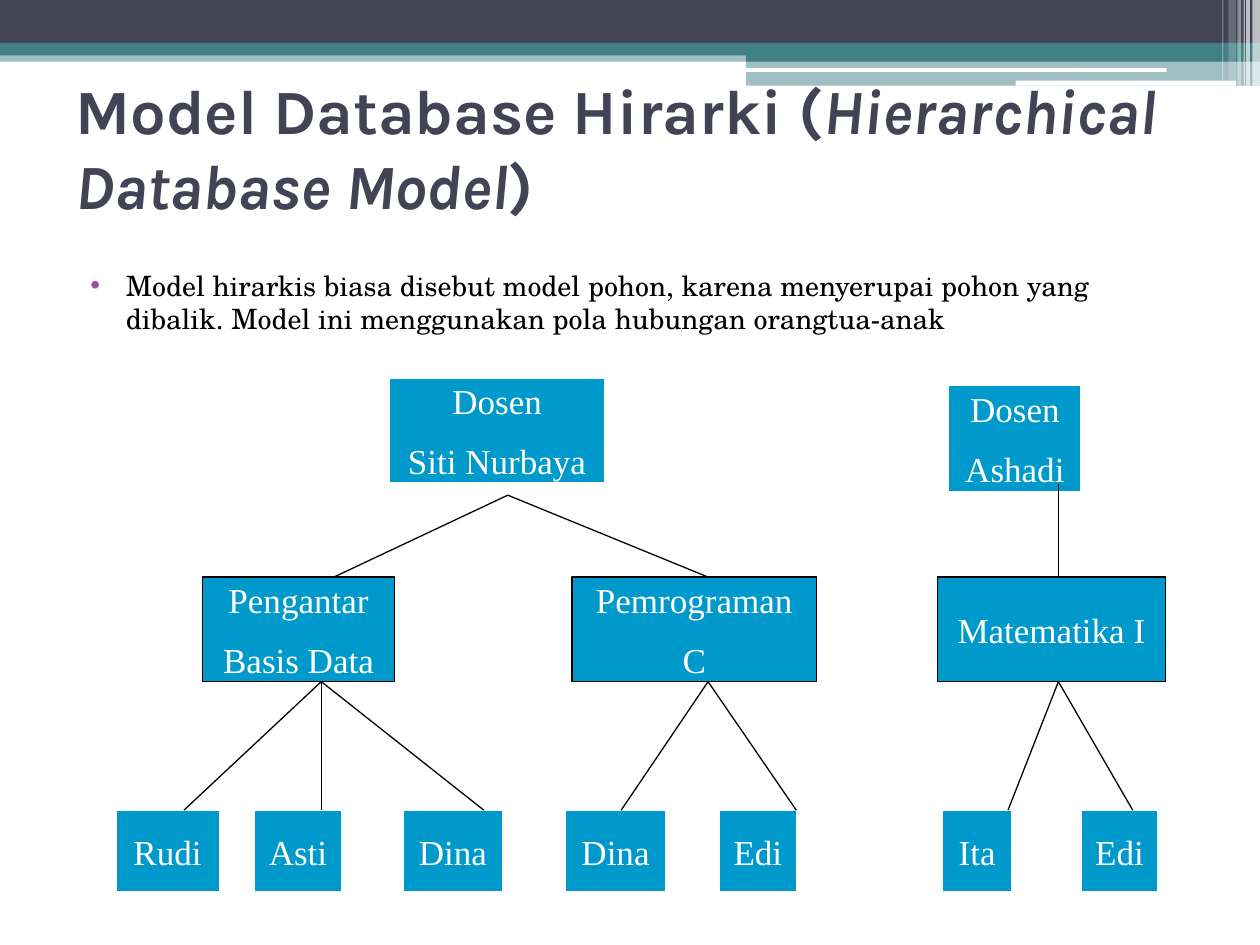
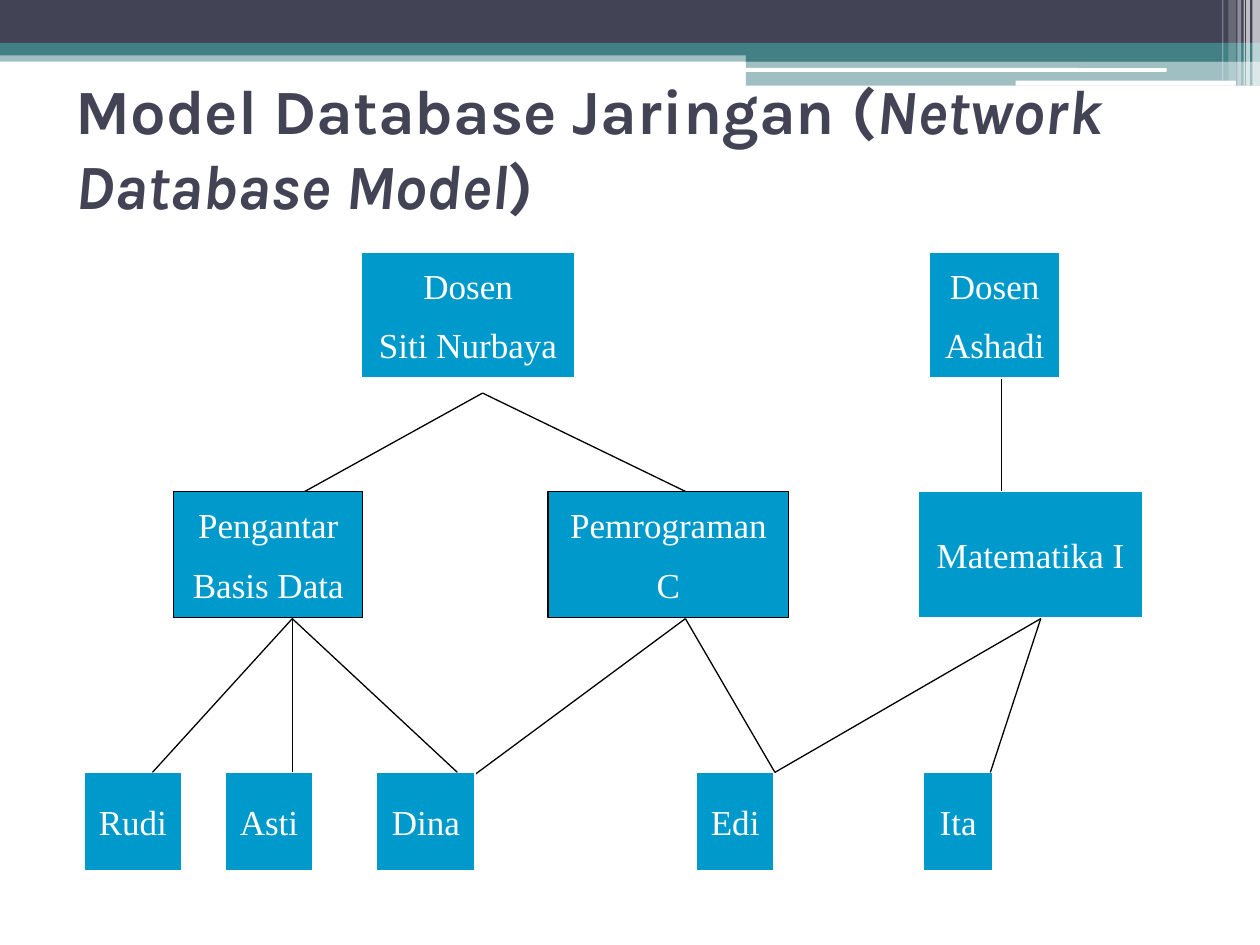
import pptx
import pptx.util
import pptx.dml.color
import pptx.enum.shapes
import pptx.enum.text
import pptx.oxml
import pptx.oxml.ns
from lxml import etree

Inches = pptx.util.Inches
Pt = pptx.util.Pt
SHAPES = pptx.enum.shapes.MSO_SHAPE
ANCHOR = pptx.enum.text.MSO_ANCHOR
ALIGN = pptx.enum.text.PP_ALIGN
qn = pptx.oxml.ns.qn

COLORS = {
    "navy": "424456", "teal": "438086", "white": "FFFFFF",
    "black": "000000", "node": "0099CC", "bullet": "A04DA3",
}
TITLE_FONT, BODY_FONT, NODE_FONT = "Karla", "TeX Gyre Schola", "Times New Roman"

TITLE_BOX = (0.5, 0.58, 9, 1.17)
BODY_BOX = (0.5, 2.08, 9, 5.11)
BAND_BOX = (0, 0, 10, 0.68)

# left, top, width, height, colour, opacity in percent
BANDS = [
    (0, 0.4, 10, 0.09, "teal", 50),
    (0, 0, 10, 0.34, "navy", 100),
    (0, 0.34, 10, 0.1, "teal", 100),
    (5.92, 0.39, 4.08, 0.1, "teal", 100),
    (5.92, 0.48, 4.08, 0.2, "teal", 50),
]
ROUNDED_BARS = [(5.91, 0.54, 3.35, 0.03), (8.06, 0.64, 1.75, 0.04)]
# left, width, height, opacity in percent
STRIPES = [
    (9.94, 0.06, 0.68, 65), (9.89, 0.03, 0.68, 65), (9.87, 0.01, 0.68, 60),
    (9.82, 0.03, 0.68, 40), (9.75, 0.06, 0.64, 20), (9.7, 0.01, 0.64, 30),
]


def rgb(name):
    return pptx.dml.color.RGBColor.from_string(COLORS[name])


def add_block(page, box, color, kind=SHAPES.RECTANGLE, opacity=100, line=None):
    block = page.shapes.add_shape(kind, *map(Inches, box))
    block.shadow.inherit = False
    block.fill.solid()
    block.fill.fore_color.rgb = rgb(color)
    if opacity < 100:
        fill_color = block.fill._xPr.find(".//" + qn("a:srgbClr"))
        etree.SubElement(fill_color, qn("a:alpha"), val=str(opacity * 1000))
    if line:
        block.line.color.rgb = rgb(line)
        block.line.width = Pt(0.75)
    else:
        block.line.fill.background()
    return block


def add_line(page, start, end):
    line = page.shapes.add_connector(
        pptx.enum.shapes.MSO_CONNECTOR.STRAIGHT, *map(Inches, start + end))
    line.line.color.rgb = rgb("black")
    line.line.width = Pt(0.75)
    etree.SubElement(line._element.spPr, qn("a:effectLst"))


def add_span(para, text, font, size, color, bold=None, italic=None):
    span = para.add_run()
    span.text = text
    span.font.name = font
    span.font.size = Pt(size)
    span.font.color.rgb = rgb(color)
    span.font.bold = bold
    span.font.italic = italic


def add_text_box(page, box, anchor):
    frame = page.shapes.add_textbox(*map(Inches, box)).text_frame
    frame.word_wrap = True
    frame.vertical_anchor = anchor
    return frame.paragraphs[0]


def set_bullet(para, color):
    props = para._p.get_or_add_pPr()
    props.set("marL", str(Inches(0.4)))
    props.set("indent", str(Inches(-0.28)))
    bullet_color = etree.SubElement(props, qn("a:buClr"))
    etree.SubElement(bullet_color, qn("a:srgbClr"), val=COLORS[color])
    etree.SubElement(props, qn("a:buFont"), typeface="Arial")
    etree.SubElement(props, qn("a:buChar"), char="•")


# Decoration along the top edge
def add_bands(page, box):
    left, top = box[:2]
    for x, y, width, height, color, opacity in BANDS:
        add_block(page, (left + x, top + y, width, height), color, opacity=opacity)
    for x, y, width, height in ROUNDED_BARS:
        add_block(page, (left + x, top + y, width, height), "white",
                  kind=SHAPES.ROUNDED_RECTANGLE)
    for x, width, height, opacity in STRIPES:
        add_block(page, (left + x, top, width, height), "white", opacity=opacity)


def add_title(page, box, name, english):
    para = add_text_box(page, box, ANCHOR.MIDDLE)
    for text, italic in ((name + " (", False), (english, True), (")", False)):
        add_span(para, text, TITLE_FONT, 36, "navy", bold=True, italic=italic)


def add_body(page, box, text):
    para = add_text_box(page, box, ANCHOR.TOP)
    para.space_before = Pt(3)
    set_bullet(para, "bullet")
    add_span(para, text, BODY_FONT, 16, "black")


def add_node(page, box, lines, outline):
    frame = add_block(page, box, "node", line=outline).text_frame
    frame.word_wrap = True
    frame.vertical_anchor = ANCHOR.MIDDLE
    frame.margin_left = frame.margin_right = Inches(0.08)
    frame.margin_top = frame.margin_bottom = Inches(0.04)
    for index, text in enumerate(lines):
        para = frame.add_paragraph() if index else frame.paragraphs[0]
        para.alignment = ALIGN.CENTER
        para.space_after = Pt(10)
        add_span(para, text, NODE_FONT, 20, "white")


# Tree: rows of nodes, and fans of lines from one point to several
def add_tree(page, box, rows, fans, fans_behind=()):
    left, top = box[:2]

    def add_fans(group):
        for (x, y), ends in group:
            for end_x, end_y in ends:
                add_line(page, (left + x, top + y), (left + end_x, top + end_y))

    add_fans(fans_behind)
    for y, height, nodes in rows:
        for x, width, text, outline in nodes:
            add_node(page, (left + x, top + y, width, height),
                     text.split("\n"), outline)
    add_fans(fans)


def start_page(deck, name, english):
    page = deck.slides.add_slide(deck.slide_layouts[6])
    add_bands(page, BAND_BOX)
    add_title(page, TITLE_BOX, name, english)
    return page


def level(y, *xs):
    return [(x, y) for x in xs]


def leaves(*items):
    return [item + ("white",) for item in items]


def build_hierarchy(deck):
    page = start_page(deck, "Model Database Hirarki", "Hierarchical Database Model")
    add_body(page, BODY_BOX,
             "Model hirarkis biasa disebut model pohon, karena menyerupai pohon "
             "yang dibalik. Model ini menggunakan pola hubungan orangtua-anak")
    courses, students = 1.58, 3.43
    rows = [
        (0, 0.83, [(2.17, 1.71, "Dosen\nSiti Nurbaya", "white")]),
        (0.06, 0.84, [(6.61, 1.05, "Dosen\nAshadi", "white")]),
        (courses, 0.83, [(0.69, 1.52, "Pengantar\nBasis Data", "black"),
                         (3.62, 1.94, "Pemrograman\nC", "black"),
                         (6.52, 1.81, "Matematika I", "black")]),
        (students, 0.65, leaves((0, 0.82, "Rudi"), (1.1, 0.69, "Asti"),
                                (2.28, 0.79, "Dina"), (3.57, 0.79, "Dina"),
                                (4.79, 0.61, "Edi"), (6.56, 0.55, "Ita"),
                                (7.66, 0.61, "Edi"))),
    ]
    fans = [
        ((3.11, 0.93), level(courses, 1.73, 4.7)),
        ((7.48, 0.84), level(courses, 7.48)),
        ((7.48, 2.41), level(students, 7.08, 8.07)),
        ((1.63, 2.41), level(students, 1.63, 0.54, 2.92)),
        ((4.7, 2.41), level(students, 4.01, 5.4)),
    ]
    add_tree(page, (0.92, 3, 8.33, 4.08), rows, fans)


def build_network(deck):
    page = start_page(deck, "Model Database Jaringan", "Network Database Model")
    courses, students = 1.9, 4.13
    rows = [
        (0, 1, [(2.2, 1.69, "Dosen\nSiti Nurbaya", "white"),
                (6.71, 1.03, "Dosen\nAshadi", "white")]),
        (courses, 1, [(0.71, 1.5, "Pengantar\nBasis Data", "black"),
                      (3.68, 1.91, "Pemrograman\nC", "black"),
                      (6.62, 1.78, "Matematika I", "white")]),
        (students, 0.78, leaves((0, 0.77, "Rudi"), (1.12, 0.69, "Asti"),
                                (2.32, 0.78, "Dina"), (4.86, 0.61, "Edi"),
                                (6.66, 0.55, "Ita"))),
    ]
    fans = [
        ((3.16, 1.12), level(courses, 1.75, 4.77)),
        ((7.28, 1.01), level(courses, 7.28)),
        ((7.59, 2.91), level(students, 7.19, 5.48)),
        ((1.65, 2.91), level(students, 1.65, 0.54, 2.96)),
        ((4.77, 2.91), level(students, 5.48)),
    ]
    add_tree(page, (0.67, 2, 8.4, 4.91), rows, fans,
             fans_behind=[((4.77, 2.91), [(2.96, 4.25)])])


def main():
    deck = pptx.Presentation()
    deck.slide_width, deck.slide_height = Inches(10), Inches(7.5)
    build_hierarchy(deck)
    build_network(deck)
    deck.save("out.pptx")


if __name__ == "__main__":
    main()
